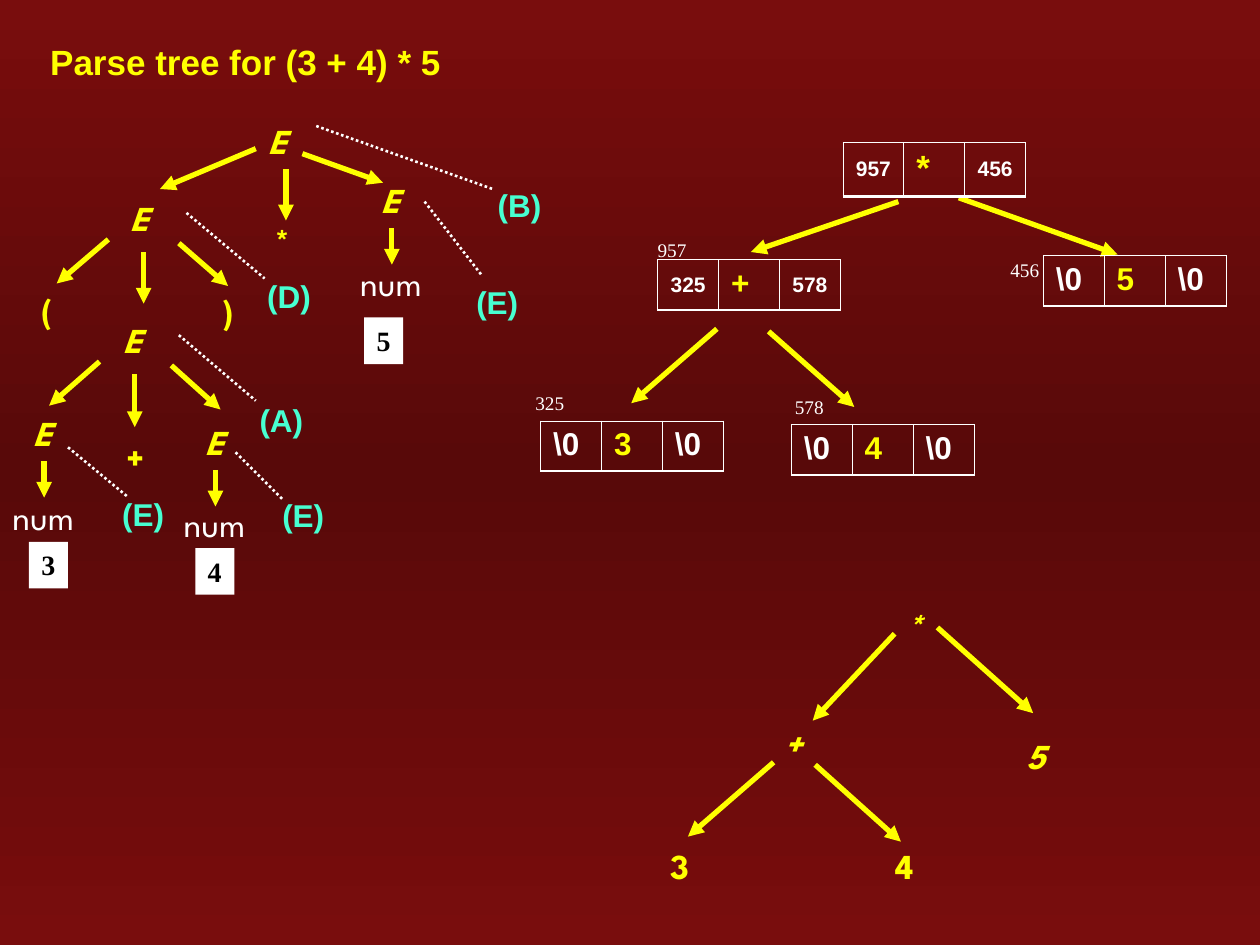
from copy import deepcopy

from lxml import etree
from pptx import Presentation, util as u
from pptx.dml.color import RGBColor
from pptx.enum import dml, shapes, text
from pptx.oxml import parse_xml
from pptx.oxml.ns import nsdecls, qn

THEME = {
    "yellow": "FFFF00", "white": "FFFFFF", "mint": "47FFD1", "black": "000000",
    "shadow": "DDDDDD", "bg": ("790D0D", "580909", "790D0D"),
    "tree": "League Spartan", "sans": "Arial", "serif": "Times New Roman",
    "arrow": 3, "dots": 1.5, "border": 0.45, "bottom": 1.47,
}
# Text styles: font, size, colour, bold, italic, width, height, inset x, inset y
STYLES = {
    "title": ("sans", 20, "yellow", True, False, 3.57, 0.83, 0.1, 0.05),
    "node": ("tree", 20, "yellow", True, True, 0.53, 0.44, 0.1, 0.05),
    "leaf": ("tree", 20, "yellow", True, False, 0.53, 0.44, 0.1, 0.05),
    "num": ("tree", 20, "white", False, False, 0.82, 0.44, 0.1, 0.05),
    "rule": ("sans", 18, "mint", True, False, 0.45, 0.3, 0, 0),
    "address": ("serif", 11, "white", False, False, 0.45, 0.29, 0.1, 0.05),
    "value": ("serif", 16, "black", True, False, 0.31, 0.37, 0.1, 0.05),
}

# Labels by style: text, left, top
LABELS = {
    "title": [("Parse tree for (3 + 4) * 5", 0.3, 0.07)],
    "node": [("E", 2.03, 0.9), ("E", 2.93, 1.37), ("E", 0.94, 1.51), ("E", 0.88, 2.48),
             ("E", 1.53, 3.29), ("E", 0.17, 3.22),
             ("*", 7.1, 4.75), ("+", 6.13, 5.68), ("5", 8.05, 5.78)],
    "leaf": [("(", 0.23, 2.24), (")", 1.67, 2.25), ("*", 2.09, 1.69), ("+", 0.91, 3.41),
             ("3", 5.22, 6.65), ("4", 7.01, 6.65)],
    "num": [("num", 2.76, 2.03), ("num", 1.36, 3.94), ("num", 0, 3.88)],
    "rule": [("(B)", 3.95, 1.48), ("(E)", 3.78, 2.25), ("(D)", 2.12, 2.2),
             ("(A)", 2.06, 3.18), ("(E)", 0.97, 3.93), ("(E)", 2.24, 3.94)],
    "address": [("325", 4.15, 3.06), ("578", 6.21, 3.09), ("957", 5.12, 1.84),
                ("456", 7.92, 2)],
    "value": [("3", 0.23, 4.3), ("5", 2.89, 2.52), ("4", 1.55, 4.35)],
}

# Lines: x1, y1, x2, y2
ARROWS = [
    # parse tree
    (2.03, 1.18, 1.27, 1.5), (2.27, 1.34, 2.27, 1.75), (2.4, 1.22, 3.04, 1.45),
    (0.86, 1.9, 0.45, 2.25), (1.14, 2, 1.14, 2.41), (1.42, 1.93, 1.81, 2.27),
    (0.79, 2.87, 0.39, 3.22), (1.07, 2.97, 1.07, 3.39), (1.36, 2.9, 1.75, 3.25),
    (3.11, 1.81, 3.11, 2.1), (1.71, 3.73, 1.71, 4.02), (0.35, 3.66, 0.35, 3.95),
    # linked records
    (7.13, 1.6, 5.96, 2), (7.61, 1.57, 8.87, 2.02),
    (5.69, 2.61, 5.01, 3.2), (6.1, 2.63, 6.78, 3.23),
    # syntax tree
    (7.1, 5.03, 6.45, 5.72), (7.44, 4.98, 8.2, 5.66),
    (6.14, 6.05, 5.46, 6.64), (6.47, 6.07, 7.15, 6.68),
]
DOTTED = [
    (2.51, 1, 3.91, 1.5), (3.37, 1.6, 3.82, 2.18), (1.48, 1.69, 2.1, 2.21),
    (1.42, 2.66, 2.03, 3.18), (0.54, 3.55, 1.01, 3.94), (1.87, 3.59, 2.25, 3.97),
]

# Records: left, top, height, operator size, (left link, value, right link)
NULL = "\\0"
RECORDS = [
    (6.69, 1.13, 0.43, 20, ("957", "*", "456")),
    (5.22, 2.06, 0.4, 18, ("325", "+", "578")),
    (8.28, 2.03, 0.4, 18, (NULL, "5", NULL)),
    (4.29, 3.34, 0.4, 18, (NULL, "3", NULL)),
    (6.28, 3.37, 0.4, 18, (NULL, "4", NULL)),
]
RECORD_W = 1.45


def rgb(name):
    return RGBColor.from_string(THEME[name])


def style_run(p, font, size, color, bold, italic=False):
    f = p.runs[0].font
    f.name, f.size, f.bold, f.italic = THEME[font], u.Pt(size), bold, italic
    f.color.rgb = rgb(color)


def add_label(s, kind, label, x, y):
    font, size, color, bold, italic, w, h, mx, my = STYLES[kind]
    box = [u.Inches(v) for v in (x, y, w, h)]
    if kind == "value":
        sp = s.shapes.add_shape(shapes.MSO_SHAPE.RECTANGLE, *box)
        sp.shadow.inherit = False
        sp.fill.solid()
        sp.fill.fore_color.rgb = rgb("white")
        sp.line.fill.background()
    else:
        sp = s.shapes.add_textbox(*box)
    tf = sp.text_frame
    tf.text = label
    tf.word_wrap = kind != "value"
    tf.margin_left = tf.margin_right = u.Inches(mx)
    tf.margin_top = tf.margin_bottom = u.Inches(my)
    tf.vertical_anchor = text.MSO_ANCHOR.MIDDLE if kind == "title" else text.MSO_ANCHOR.TOP
    p = tf.paragraphs[0]
    p.alignment = text.PP_ALIGN.LEFT
    style_run(p, font, size, color, bold, italic)
    if kind == "title":
        fill = p.runs[0].font._element.find(qn("a:solidFill"))
        fill.addnext(parse_xml(
            f'<a:effectLst {nsdecls("a")}><a:outerShdw dist="17961" dir="2700000">'
            f'<a:srgbClr val="{THEME["shadow"]}"/></a:outerShdw></a:effectLst>'))


def add_line(s, ends, color, width, arrow):
    cn = s.shapes.add_connector(shapes.MSO_CONNECTOR.STRAIGHT, *(u.Inches(v) for v in ends))
    cn.line.color.rgb = rgb(color)
    cn.line.width = u.Pt(width)
    if arrow:
        etree.SubElement(cn.line._get_or_add_ln(), qn("a:tailEnd"), type="triangle")
    else:
        cn.line.dash_style = dml.MSO_LINE.ROUND_DOT
    etree.SubElement(cn._element.spPr, qn("a:effectLst"))


def add_borders(cell):
    tcPr = cell._tc.get_or_add_tcPr()
    for side in "LRTB":
        width = THEME["bottom" if side == "B" else "border"]
        tcPr.append(parse_xml(
            f'<a:ln{side} {nsdecls("a")} w="{int(u.Pt(width))}"><a:solidFill>'
            f'<a:srgbClr val="{THEME["white"]}"/></a:solidFill></a:ln{side}>'))


def add_record(s, x, y, h, op_size, fields):
    frame = s.shapes.add_table(1, 3, *(u.Inches(v) for v in (x, y, RECORD_W, h)))
    tbl = frame.table
    tbl.first_row = tbl.horz_banding = False
    for i, field in enumerate(fields):
        cell = tbl.cell(0, i)
        cell.text = field
        add_borders(cell)
        cell.fill.background()
        p = cell.text_frame.paragraphs[0]
        is_link = i != 1 and field != NULL
        if is_link:
            p.alignment = text.PP_ALIGN.CENTER
            cell.vertical_anchor = text.MSO_ANCHOR.MIDDLE
        style_run(p, "sans", 12 if is_link else op_size, "yellow" if i == 1 else "white", True)


def set_background(s):
    fill = s.background.fill
    fill.gradient()
    fill.gradient_angle = 90
    first = s._element.find(".//" + qn("a:gs"))
    first.addnext(deepcopy(first))
    for i, (stop, color) in enumerate(zip(fill.gradient_stops, THEME["bg"])):
        stop.position = i / 2
        stop.color.rgb = RGBColor.from_string(color)


def main():
    prs = Presentation()
    prs.slide_width, prs.slide_height = u.Inches(10), u.Inches(7.5)
    s = prs.slides.add_slide(prs.slide_layouts[6])
    set_background(s)
    # Arrows and dotted pointers
    for ends in ARROWS:
        add_line(s, ends, "yellow", THEME["arrow"], True)
    for ends in DOTTED:
        add_line(s, ends, "white", THEME["dots"], False)
    # Node records
    for record in RECORDS:
        add_record(s, *record)
    # Title, tree nodes and notes on rules
    for kind, items in LABELS.items():
        for item in items:
            add_label(s, kind, *item)
    prs.save("out.pptx")


if __name__ == "__main__":
    main()
